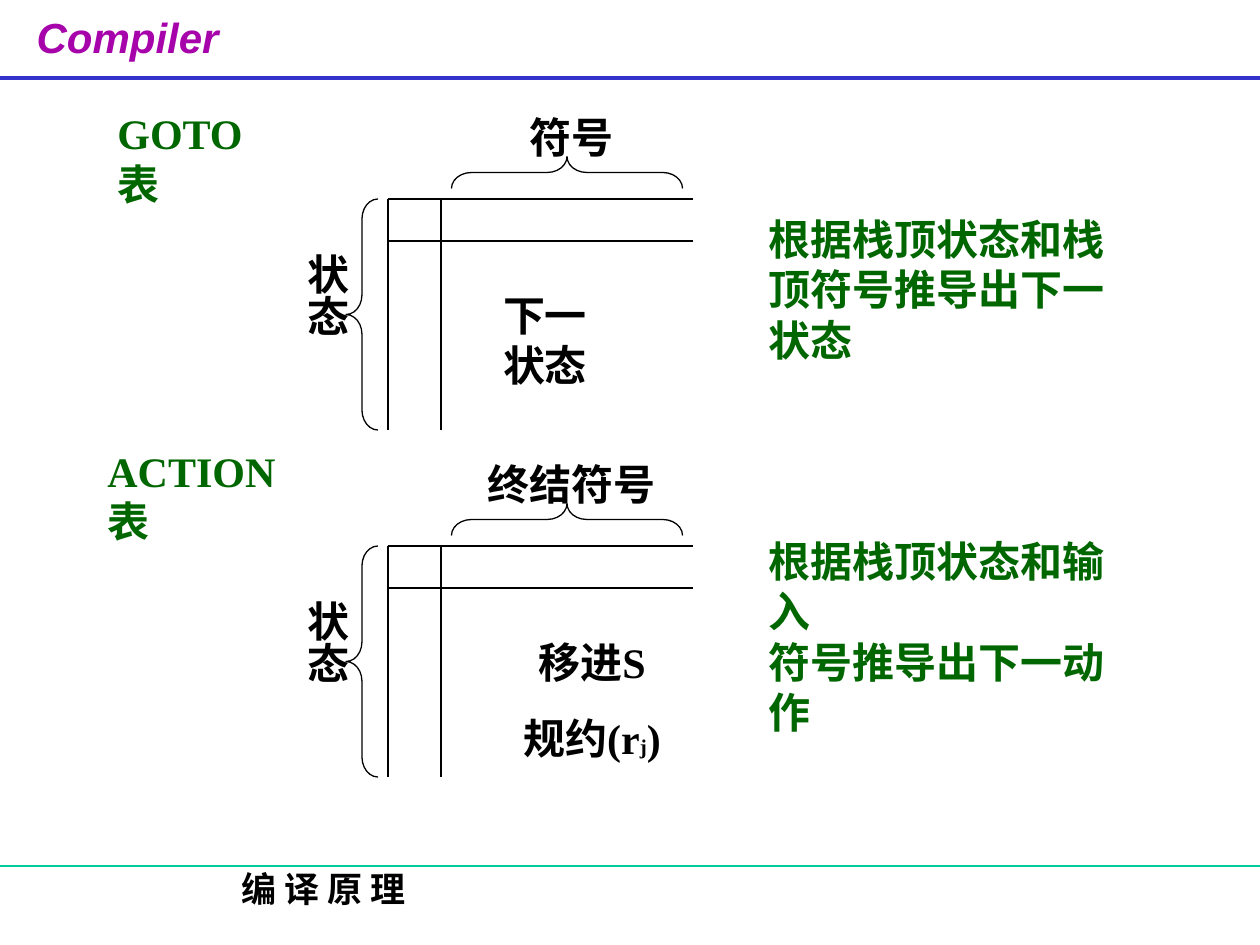
"""Build the slide that compares the GOTO and ACTION tables of a parser."""
from lxml.etree import SubElement
from pptx import Presentation
from pptx.dml.color import RGBColor
from pptx.enum.shapes import MSO_CONNECTOR, MSO_SHAPE
from pptx.enum.text import MSO_ANCHOR, PP_ALIGN
from pptx.oxml.ns import qn
from pptx.util import Emu, Pt

SCALE = 914400 / 126
COLORS = {"title": "A603AB", "rule": "3333CC", "footer": "00CC99",
          "green": "006600", "black": "000000"}
SERIF = "Times New Roman"

PANELS = [
    {"top": 199, "name": "GOTO表", "name_box": (105, -83, 179, 84),
     "symbol": "符号", "cell": [[("下一状态", 24)]],
     "cell_box": (482, 84, 126, 113),
     "note": ["根据栈顶状态和栈", "顶符号推导出下一", "状态"]},
    {"top": 546, "name": "ACTION表", "name_box": (95, -77, 231, 53),
     "symbol": "终结符号",
     "cell": [[("移进S", 24)], [("规约(r", 24), ("j", 12), (")", 24)]],
     "cell_box": (482, 84, 220, 140),
     "note": ["根据栈顶状态和输入", "符号推导出下一动作"]},
]
GRID = [(388, 0, 693, 0), (388, 42, 693, 42),
        (388, 0, 388, 231), (441, 0, 441, 231)]
BRACES = [(346, 0, 0), (551, -142, 90)]
BRACE_SIZE = (32, 231)
STATE_BOX = (282, 42, 76, 136)
SYMBOL_BOX = (472, -94, 200, 63)
NOTE_BOX = (756, 11, 378, 158)


def px(n):
    return Emu(round(n * SCALE))


def rgb(name):
    return RGBColor.from_string(COLORS[name])


def place(sp, box):
    sp.left, sp.top, sp.width, sp.height = map(px, box)


def add_line(s, points, color="black", width=0.75):
    line = s.shapes.add_connector(MSO_CONNECTOR.STRAIGHT, *map(px, points))
    line.line.color.rgb = rgb(color)
    line.line.width = Pt(width)
    SubElement(line._element.spPr, qn("a:effectLst"))


def add_brace(s, left, top, rotation):
    sp = s.shapes.add_shape(MSO_SHAPE.LEFT_BRACE,
                            *map(px, (left, top, *BRACE_SIZE)))
    sp.adjustments[0] = 0.62
    sp.rotation = rotation
    sp.shadow.inherit = False
    sp.fill.background()
    sp.line.color.rgb = rgb("black")
    sp.line.width = Pt(0.75)


def add_text(s, box, paragraphs, color="black", align=PP_ALIGN.CENTER,
             anchor=MSO_ANCHOR.TOP, wrap=True, gap=15):
    sp = s.shapes.add_textbox(*map(px, box))
    tf = sp.text_frame
    tf.word_wrap = wrap
    tf.vertical_anchor = anchor
    for i, runs in enumerate(paragraphs):
        p = tf.add_paragraph() if i else tf.paragraphs[0]
        p.alignment = align
        p.space_before = Pt(gap if i else 0)
        p.font.name, p.font.bold = SERIF, True
        p.font.color.rgb = rgb(color)
        for text, size in runs:
            r = p.add_run()
            r.text, r.font.size = text, Pt(size)
    return tf


def add_label(s, box, lines):
    add_text(s, box, [[(line, 24)] for line in lines], "green",
             PP_ALIGN.LEFT, MSO_ANCHOR.MIDDLE, wrap=False, gap=0)


def add_panel(s, panel):
    def shift(box):
        return (box[0], box[1] + panel["top"], *box[2:])

    add_label(s, shift(panel["name_box"]), [panel["name"]])
    for x1, y1, x2, y2 in GRID:
        add_line(s, (x1, y1 + panel["top"], x2, y2 + panel["top"]))
    add_text(s, shift(panel["cell_box"]), panel["cell"])
    for brace in BRACES:
        add_brace(s, *shift(brace))
    tf = add_text(s, shift(STATE_BOX), [[("状态", 24)]])
    tf.margin_left = tf.margin_right = px(6)
    tf.margin_top = tf.margin_bottom = px(13)
    tf._txBody.bodyPr.set("vert", "eaVert")
    add_text(s, shift(SYMBOL_BOX), [[(panel["symbol"], 24)]])
    add_label(s, shift(NOTE_BOX), panel["note"])


def add_title(s, text):
    sp = s.shapes.title
    place(sp, (24, 5, 241, 78))
    tf = sp.text_frame
    tf.text = text
    tf.word_wrap = False
    tf.vertical_anchor = MSO_ANCHOR.TOP
    p = tf.paragraphs[0]
    p.alignment = PP_ALIGN.LEFT
    p.font.name, p.font.size = "Arial", Pt(24)
    p.font.bold = p.font.italic = True
    p.font.color.rgb = rgb("title")


def main():
    prs = Presentation()
    prs.slide_width, prs.slide_height = px(1260), px(945)
    s = prs.slides.add_slide(prs.slide_layouts[5])
    add_title(s, "Compiler")
    add_line(s, (0, 78, 1260, 78), "rule", 2.25)
    add_text(s, (63, 861, 522, 63), [[("编 译 原 理", 20)]])
    add_line(s, (0, 866, 1260, 866), "footer")
    for panel in PANELS:
        add_panel(s, panel)
    prs.save("out.pptx")


if __name__ == "__main__":
    main()
